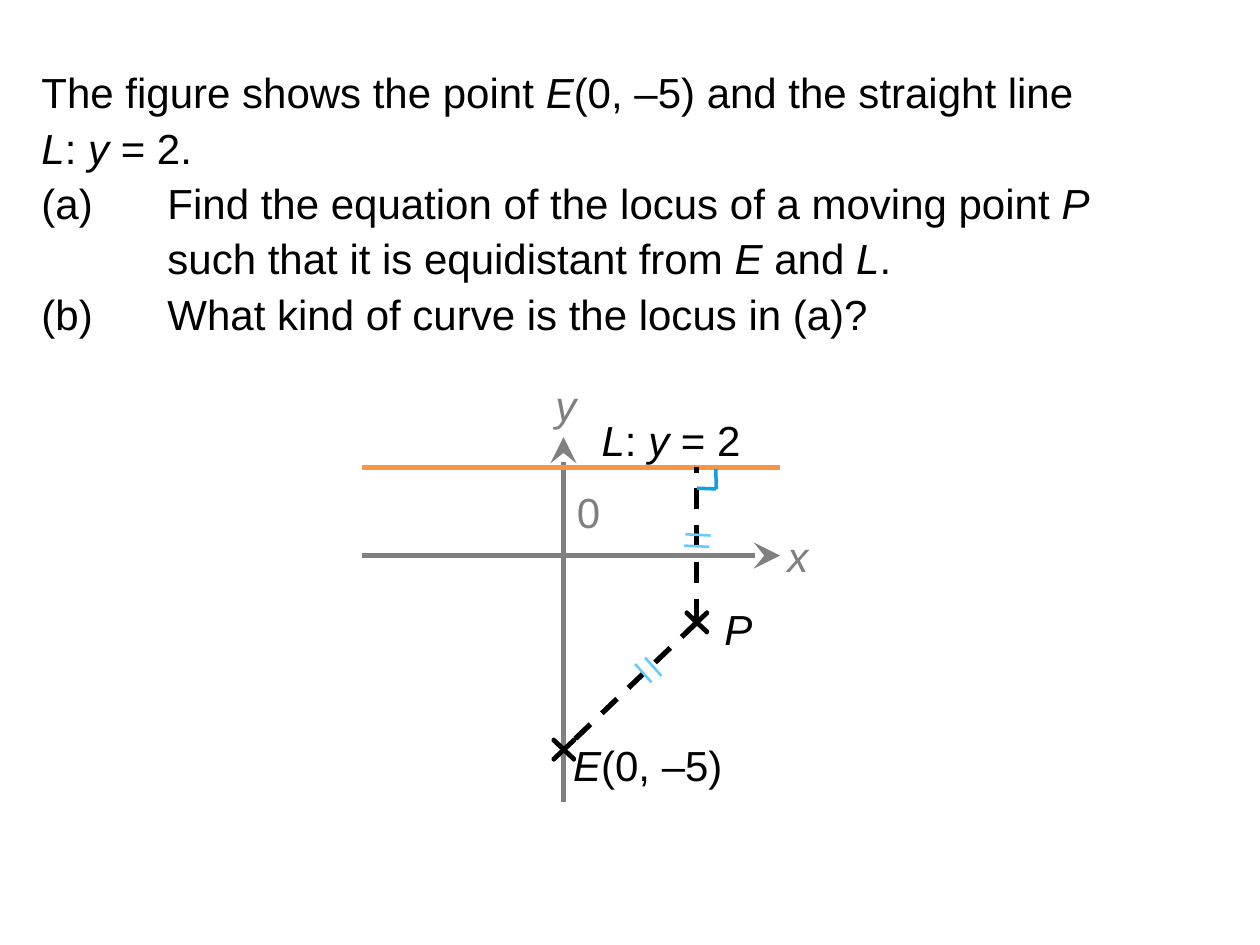
from dataclasses import dataclass
from typing import Any

from pptx import Presentation
from pptx.dml.color import RGBColor
from pptx.enum import dml, shapes, text
from pptx.oxml import xmlchemy
from pptx.util import Pt


def colour(value):
    return RGBColor.from_string(value)


def element(tag, **attributes):
    made = xmlchemy.OxmlElement(tag)
    for name, value in attributes.items():
        made.set(name, str(value))
    return made


@dataclass
class Figure:
    page: Any
    group: Any = None
    font: str = "Arial"
    size: float = 24
    ink: str = "000000"
    axis: str = "808080"
    line: str = "F79646"
    mark: str = "66CCFF"
    angle: str = "0EA2E2"

    def words(self, lines, left, top, width, height, ink=None, wrap=True, spacing=None, tab=None):
        box = self.page.shapes.add_textbox(Pt(left), Pt(top), Pt(width), Pt(height))
        box.text_frame.word_wrap = wrap
        box.text_frame.auto_size = text.MSO_AUTO_SIZE.SHAPE_TO_FIT_TEXT
        para = box.text_frame.paragraphs[0]
        if spacing:
            para.line_spacing = spacing
        if tab:
            stops = element("a:tabLst")
            stops.append(element("a:tab", pos=Pt(tab), algn="l"))
            para._p.get_or_add_pPr().append(stops)
        for row, content in enumerate(lines):
            if row:
                para.add_line_break()
            for index, part in enumerate(content.split("*")):
                if part:
                    span = para.add_run()
                    span.text = part
                    span.font.name = self.font
                    span.font.size = Pt(self.size)
                    span.font.italic = index % 2 == 1
                    span.font.color.rgb = colour(ink or self.ink)

    def segment(self, start, end, ink, weight=3, dashed=False, arrow=False):
        points = [Pt(value) for value in (*start, *end)]
        segment = self.group.shapes.add_connector(shapes.MSO_CONNECTOR.STRAIGHT, *points)
        segment.line.color.rgb = colour(ink)
        segment.line.width = Pt(weight)
        if dashed:
            segment.line.dash_style = dml.MSO_LINE.DASH
        if arrow:
            tail = element("a:tailEnd", type="stealth", w="lg", len="lg")
            segment.line._get_or_add_ln().append(tail)
        segment._element.spPr.append(element("a:effectLst"))

    def cross(self, x, y, width=23, height=21.6):
        cross = self.group.shapes.add_shape(
            shapes.MSO_SHAPE.MATH_MULTIPLY,
            Pt(x - width / 2), Pt(y - height / 2), Pt(width), Pt(height))
        cross.adjustments[0] = 0.033
        cross.shadow.inherit = False
        cross.fill.solid()
        cross.fill.fore_color.rgb = colour(self.ink)
        cross.line.color.rgb = colour(self.ink)
        cross.line.width = Pt(2)

    def stroke(self, start, end):
        builder = self.group.shapes.build_freeform(Pt(start[0]), Pt(start[1]))
        builder.add_line_segments([(Pt(end[0]), Pt(end[1]))], close=False)
        stroke = builder.convert_to_shape()
        stroke.shadow.inherit = False
        stroke.fill.background()
        stroke.line.color.rgb = colour(self.angle)
        stroke.line.width = Pt(2)


def main():
    deck = Presentation()
    deck.slide_width, deck.slide_height = Pt(720), Pt(540)
    figure = Figure(deck.slides.add_slide(deck.slide_layouts[6]))

    figure.words([
        "The figure shows the point *E*(0, –5) and the straight line ",
        "*L*: *y* = 2.",
        "(a)\tFind the equation of the locus of a moving point *P *",
        "\tsuch that it is equidistant from *E* and *L*.",
        "(b)\tWhat kind of curve is the locus in (a)?",
    ], 16.6, 31.7, 655, 167, spacing=1.1, tab=72)
    for label, left, top in (("*x*", 442.8, 299.5), ("*y*", 310.3, 213.1), ("0", 322.6, 274.3)):
        figure.words([label], left, top, 27, 36.5, figure.axis, wrap=False)
    figure.words(["*L*: *y *= 2"], 336.7, 233.6, 99.4, 36.5)
    figure.words(["*E*(0, –5)"], 320.4, 419, 104.4, 36.5)

    figure.group = figure.page.shapes.add_group_shape()
    left, right, origin_x, origin_y, line_y = 206.6, 445.7, 322, 317.5, 267.1
    point_p, point_e = (398.2, 355.7), (322.2, 428.4)
    figure.segment((left, origin_y), (right, origin_y), figure.axis, arrow=True)
    figure.segment((origin_x, 458.3), (origin_x, 249.8), figure.axis, arrow=True)
    figure.segment((left, line_y), (right, line_y), figure.line)
    figure.cross(*point_e)
    figure.segment((point_p[0], 354.2), (point_p[0], line_y), figure.ink, dashed=True)
    figure.segment(point_p, point_e, figure.ink, dashed=True)
    figure.cross(*point_p)

    for x, y, run, rise in (
        (368.6, 375.8, 9.4, 10.5), (362.9, 379.4, 9.4, 10.5),
        (391.7, 305.3, 14.4, 0.7), (391, 311.8, 14.4, 0.7),
    ):
        figure.segment((x, y), (x + run, y + rise), figure.mark, 1.5)
    corner = (409.3, 279.4)
    figure.stroke((point_p[0], 279), corner)
    figure.stroke((409, line_y + 0.8), corner)

    figure.words(["*P*"], 406.8, 341.3, 104.4, 36.5)
    deck.save("out.pptx")


if __name__ == "__main__":
    main()
